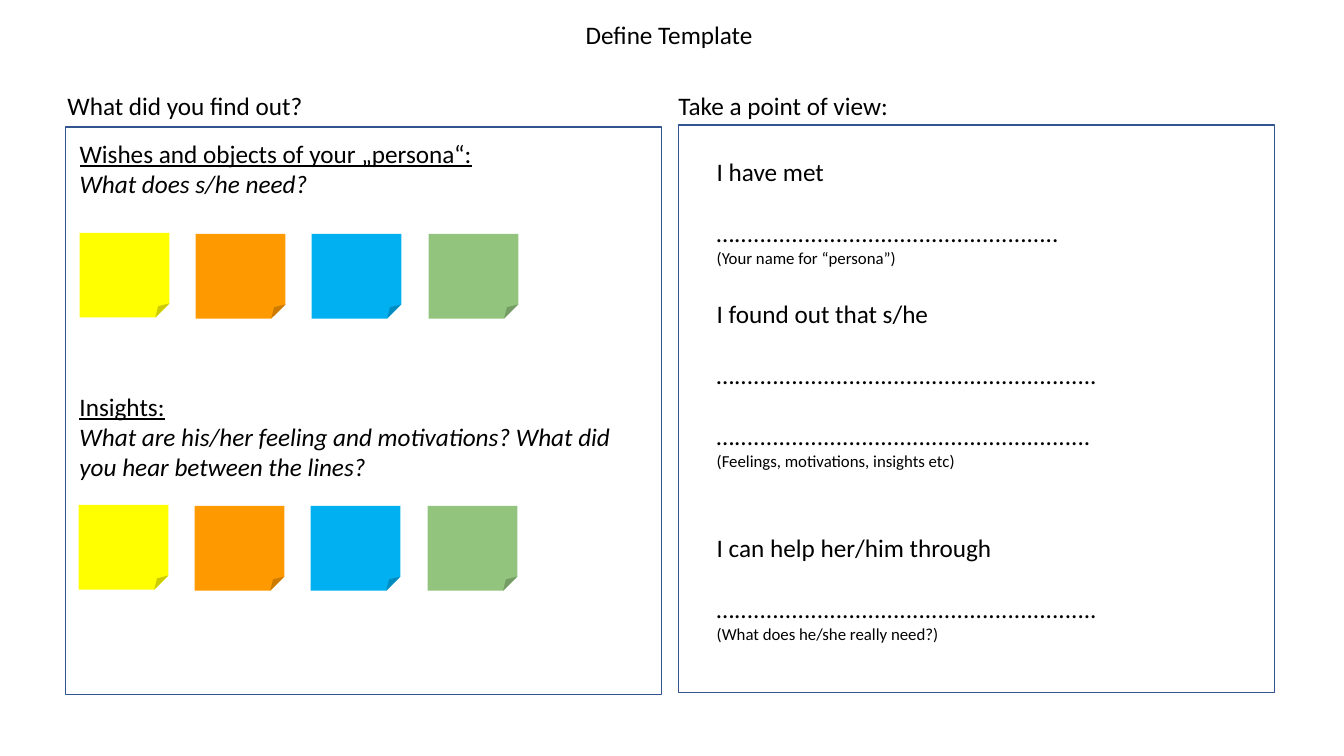
from pptx import Presentation
from pptx.dml.color import RGBColor
from pptx.enum.shapes import MSO_SHAPE
from pptx.enum.text import MSO_AUTO_SIZE
from pptx.util import Emu, Pt

RECTANGLE = MSO_SHAPE.RECTANGLE
FOLDED_CORNER = MSO_SHAPE.FOLDED_CORNER
GROW = MSO_AUTO_SIZE.SHAPE_TO_FIT_TEXT

BLACK = RGBColor(0x00, 0x00, 0x00)
WHITE = RGBColor(0xFF, 0xFF, 0xFF)
NAVY = RGBColor(0x32, 0x54, 0x91)
YELLOW = RGBColor(0xFF, 0xFF, 0x00)
ORANGE = RGBColor(0xFF, 0x99, 0x00)
BLUE = RGBColor(0x00, 0xB0, 0xF0)
GREEN = RGBColor(0x93, 0xC4, 0x7D)

EMU_PER_PX = 9144  # 100 px to the inch
LINE_HEIGHT = 22  # points taken by one line of body text

BODY = {"name": "Calibri", "size": Pt(18)}
HINT = {"size": Pt(12)}
HEADING = {"underline": True}
QUESTION = {"italic": True}


def px(length):
    return Emu(length * EMU_PER_PX)


class Board:
    """Draws the template's elements on one slide in a shared style."""

    def __init__(self, slide):
        self.shapes = slide.shapes

    def add_shape(self, preset, left, top, width, height, fill=None):
        shape = self.shapes.add_shape(preset, px(left), px(top), px(width), px(height))
        shape.shadow.inherit = False
        if fill is None:
            shape.fill.background()
        else:
            shape.fill.solid()
            shape.fill.fore_color.rgb = fill
        return shape

    def panel(self, left, top, fill=None):
        frame = self.add_shape(RECTANGLE, left, top, 591, 563, fill)
        frame.line.color.rgb = NAVY
        frame.line.width = Pt(1)

    def sticky_note(self, left, top, color):
        note = self.add_shape(FOLDED_CORNER, left, top, 89, 84, color)
        note.line.fill.background()

    def text(self, left, top, width, height, lines):
        """Each line is (wording, format values, free lines above it)."""
        box = self.shapes.add_textbox(px(left), px(top), px(width), px(height))
        frame = box.text_frame
        frame.word_wrap = True
        frame.auto_size = GROW
        for index, (wording, style, gap) in enumerate(lines):
            paragraph = frame.add_paragraph() if index else frame.paragraphs[0]
            if gap:
                paragraph.space_before = Pt(gap * LINE_HEIGHT)
            run = paragraph.add_run()
            run.text = wording
            for attribute, value in {**BODY, **style}.items():
                setattr(run.font, attribute, value)
            run.font.color.rgb = BLACK


def main():
    presentation = Presentation()
    presentation.slide_width, presentation.slide_height = px(1333), px(750)
    board = Board(presentation.slides.add_slide(presentation.slide_layouts[6]))

    board.panel(673, 124, WHITE)
    board.panel(65, 126)

    board.text(57, 85, 502, 40, [("What did you find out?", {}, 0)])
    board.text(663, 85, 502, 40, [("Take a point of view:", {}, 0)])
    board.text(69, 132, 502, 71, [
        ("Wishes and objects of your „persona“:", HEADING, 0),
        ("What does s/he need?", QUESTION, 0),
    ])
    board.text(69, 383, 566, 101, [
        ("Insights:", HEADING, 0),
        ("What are his/her feeling and motivations? "
         "What did you hear between the lines?", QUESTION, 0),
    ])
    board.text(571, 14, 189, 40, [("Define Template", {}, 0)])
    board.text(701, 150, 502, 535, [
        ("I have met", {}, 0),
        ("…...................................................", {}, 1),
        ("(Your name for “persona”)", HINT, 0),
        ("I found out that s/he", {}, 1),
        ("….........................................................", {}, 1),
        ("…........................................................", {}, 1),
        ("(Feelings, motivations, insights etc)", HINT, 0),
        ("I can help her/him through", {}, 2),
        ("….........................................................", {}, 1),
        ("(What does he/she really need?)", HINT, 0),
    ])

    note_columns = [(0, 0, YELLOW), (115, 1, ORANGE), (230, 1, BLUE), (346, 1, GREEN)]
    for row_left, row_top in [(79, 231), (78, 501)]:
        for across, down, color in note_columns:
            board.sticky_note(row_left + across, row_top + down, color)

    presentation.save("out.pptx")


if __name__ == "__main__":
    main()
